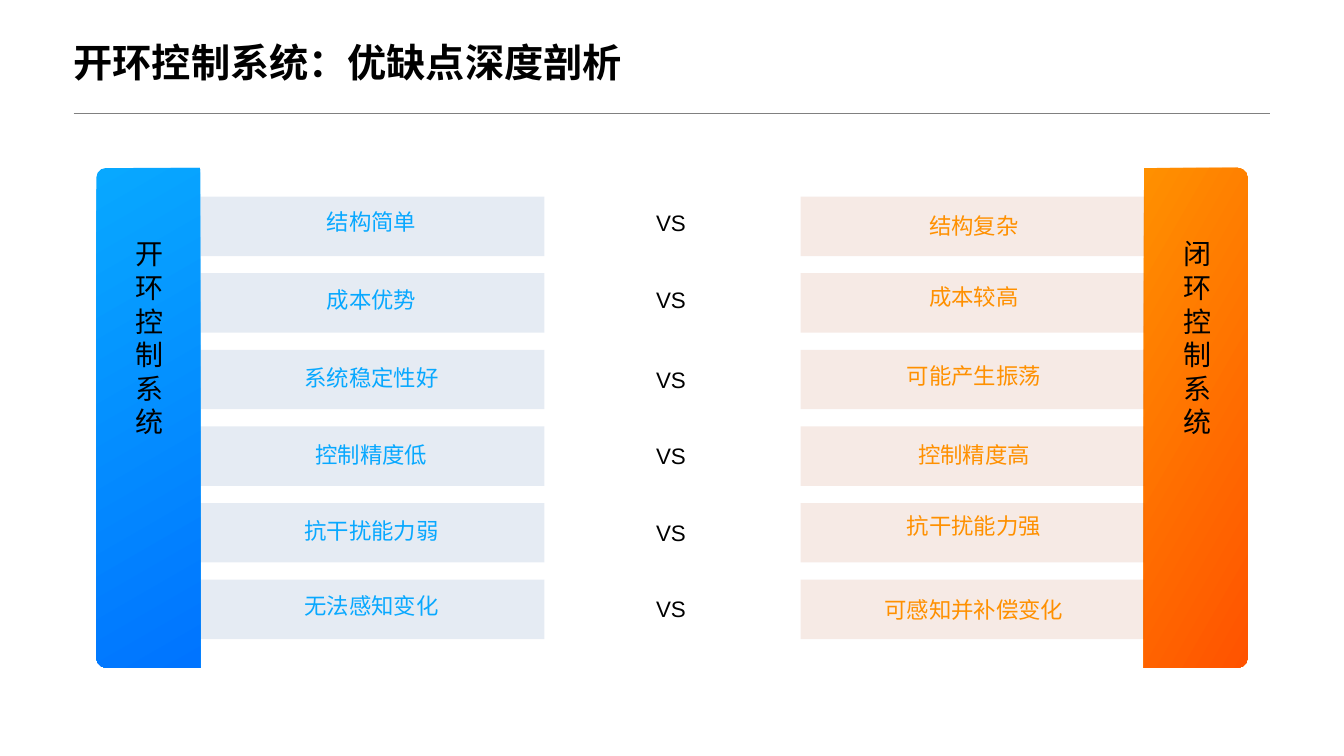
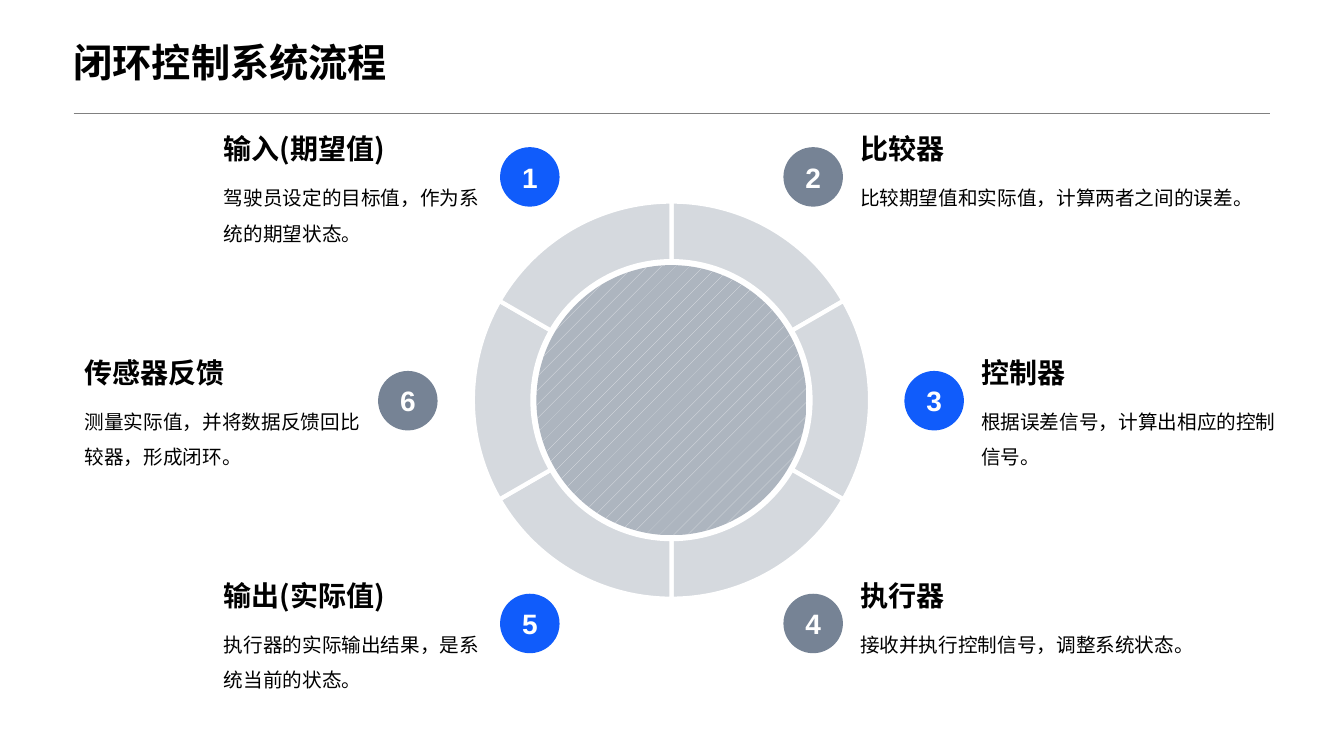
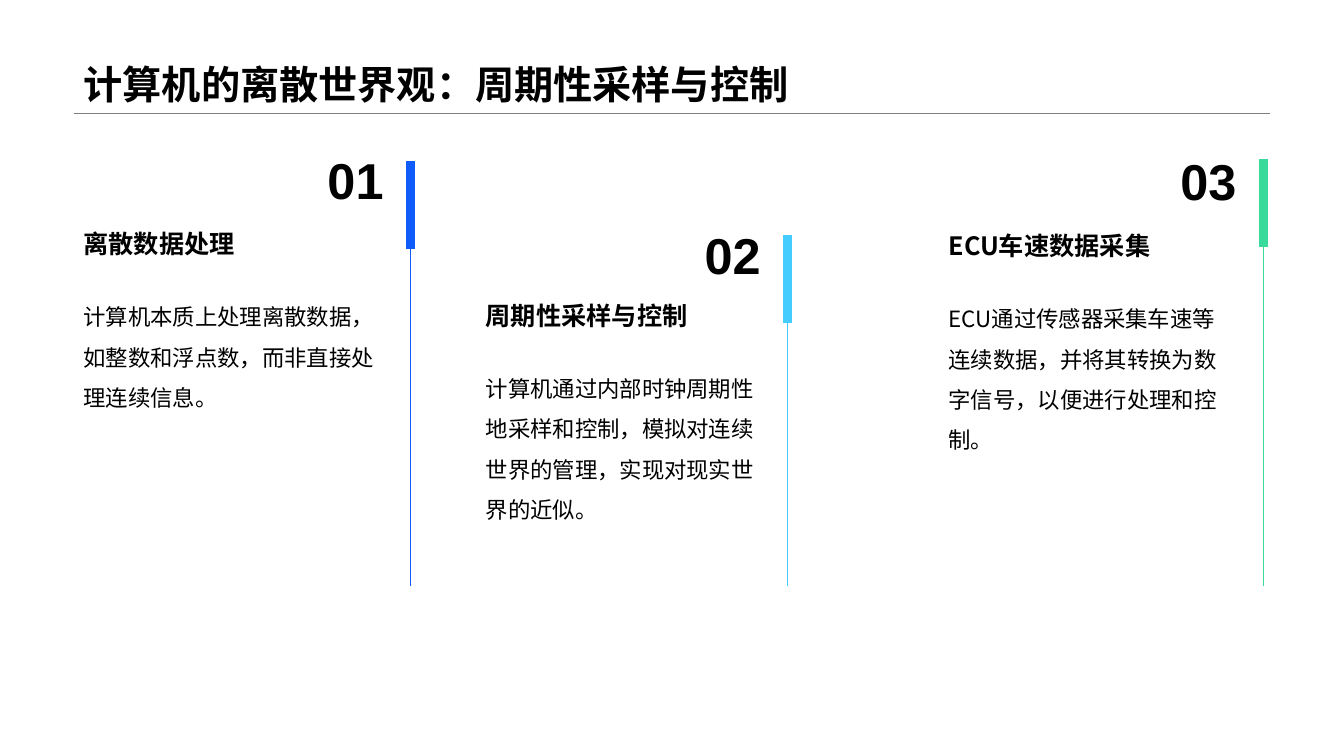
"""Build three slides on open-loop, closed-loop and sampled control."""
from dataclasses import dataclass, replace
from typing import Optional

from lxml.etree import SubElement
from pptx import Presentation
from pptx.dml.color import RGBColor
from pptx.enum.dml import MSO_PATTERN as Pattern
from pptx.enum.shapes import MSO_CONNECTOR as Link, MSO_SHAPE as Kind
from pptx.enum.text import MSO_ANCHOR as Anchor, MSO_AUTO_SIZE as Fit, PP_ALIGN as Align
from pptx.oxml.ns import qn
from pptx.util import Emu, Pt

SCALE = 9144
LATIN = "Arial"
HAN = "Noto Sans CJK SC"
BLACK = RGBColor(0x00, 0x00, 0x00)
WHITE = RGBColor(0xFF, 0xFF, 0xFF)
GREY = RGBColor(0x80, 0x80, 0x80)
SLATE = RGBColor(0x76, 0x83, 0x95)
STEEL = RGBColor(0xAD, 0xB5, 0xBF)
MIST = RGBColor(0xE4, 0xE6, 0xEA)
BLUE = RGBColor(0x10, 0x5C, 0xFB)
CYAN = RGBColor(0x44, 0xCC, 0xFF)
GREEN = RGBColor(0x38, 0xDB, 0x99)
SKY = RGBColor(0x08, 0xA8, 0xFF)
AZURE = RGBColor(0x00, 0x74, 0xFF)
NAVY = RGBColor(0x00, 0x42, 0x92)
AMBER = RGBColor(0xFF, 0x90, 0x00)
FLAME = RGBColor(0xFF, 0x53, 0x00)
RUST = RGBColor(0xA8, 0x38, 0x00)


@dataclass(frozen=True)
class Box:
    x: int
    y: int
    w: int
    h: int


@dataclass(frozen=True)
class Style:
    size: int
    font: str = HAN
    bold: bool = False
    tint: RGBColor = BLACK
    align: Align = Align.LEFT
    anchor: Anchor = Anchor.TOP
    space: float = 1.0
    pad: Optional[int] = None
    wrap: bool = True


@dataclass(frozen=True)
class Side:
    name: str
    bar: Box
    turn: int
    flip: bool
    start: RGBColor
    end: RGBColor
    angle: int
    name_x: int
    band_x: int
    band: RGBColor
    label_x: int
    label_w: int
    labels: tuple[tuple[str, int], ...]


@dataclass(frozen=True)
class Step:
    head: str
    body: str
    dot_x: int
    dot_y: int
    text_x: int
    text_w: int


@dataclass(frozen=True)
class Column:
    head: str
    body: str
    left: int
    stem: int
    top: int
    mark_y: int
    head_y: int
    tint: RGBColor
    weight: float


TITLE = Style(28, LATIN, True, anchor=Anchor.MIDDLE, space=1.25, pad=0)
LOW_TITLE = replace(TITLE, anchor=Anchor.BOTTOM, space=0.9, pad=None)
VERSUS = Style(16, LATIN, align=Align.CENTER)
NAME = replace(VERSUS, size=20)
LABEL = Style(16, align=Align.CENTER, anchor=Anchor.MIDDLE)
DIGIT = Style(20, LATIN, True, WHITE, Align.CENTER, Anchor.MIDDLE, pad=0)
STEP_HEAD = Style(20, bold=True, anchor=Anchor.BOTTOM, pad=12)
STEP_BODY = Style(14, space=1.5, pad=12)
MARK = Style(36, LATIN, True, anchor=Anchor.BOTTOM, wrap=False)
HEAD = Style(18, bold=True)
BODY = Style(16, space=1.5)

ROW_TOP, ROW_STEP = 195, 76
VERSUS_TOPS = (203, 279, 358, 434, 510, 586)
SIDES = (
    Side("开环控制系统", Box(-101, 363, 496, 103), 270, False, SKY, AZURE, 150,
         125, 199, NAVY, 228, 281,
         (("结构简单", 201), ("成本优势", 279), ("系统稳定性好", 356),
          ("控制精度低", 432), ("抗干扰能力弱", 508), ("无法感知变化", 582))),
    Side("闭环控制系统", Box(938, 363, 496, 103), 90, True, AMBER, FLAME, 240,
         1164, 794, RUST, 815, 302,
         (("结构复杂", 205), ("成本较高", 276), ("可能产生振荡", 354),
          ("控制精度高", 432), ("抗干扰能力强", 503), ("可感知并补偿变化", 586))),
)
STEPS = (
    Step("输入(期望值)", "驾驶员设定的目标值，作为系统的期望状态。", 496, 146, 210, 281),
    Step("比较器", "比较期望值和实际值，计算两者之间的误差。", 777, 146, 841, 418),
    Step("控制器", "根据误差信号，计算出相应的控制信号。", 897, 368, 961, 322),
    Step("执行器", "接收并执行控制信号，调整系统状态。", 777, 589, 841, 418),
    Step("输出(实际值)", "执行器的实际输出结果，是系统当前的状态。", 496, 589, 210, 281),
    Step("传感器反馈", "测量实际值，并将数据反馈回比较器，形成闭环。", 375, 368, 72, 298),
)
COLUMNS = (
    Column("离散数据处理",
           "计算机本质上处理离散数据，如整数和浮点数，而非直接处理连续信息。",
           73, 407, 160, 142, 222, BLUE, 0.5),
    Column("周期性采样与控制",
           "计算机通过内部时钟周期性地采样和控制，模拟对连续世界的管理，实现对现实世界的近似。",
           472, 781, 233, 216, 293, CYAN, 0.75),
    Column("ECU车速数据采集",
           "ECU通过传感器采集车速等连续数据，并将其转换为数字信号，以便进行处理和控制。",
           931, 1253, 158, 143, 224, GREEN, 0.75),
)


def px(count: int) -> Emu:
    """Turn px into EMU."""
    return Emu(count * SCALE)


def frame(box: Box) -> tuple[Emu, Emu, Emu, Emu]:
    """Give the four lengths of a box in EMU."""
    return px(box.x), px(box.y), px(box.w), px(box.h)


def write(shape, text: str, style: Style) -> None:
    """Set the text of a shape in the given style."""
    area = shape.text_frame
    area.text = text
    area.word_wrap = style.wrap
    area.auto_size = Fit.NONE
    area.vertical_anchor = style.anchor
    if style.pad is not None:
        area.margin_left = area.margin_right = px(style.pad)
        area.margin_top = area.margin_bottom = px(style.pad)
    line = area.paragraphs[0]
    line.alignment = style.align
    line.line_spacing = style.space
    for run in line.runs:
        font = run.font
        font.name, font.size, font.bold = style.font, Pt(style.size), style.bold
        font.color.rgb = style.tint
        SubElement(run._r.get_or_add_rPr(), qn("a:ea"), typeface=HAN)


def add_text(slide, box: Box, text: str, style: Style) -> None:
    """Add a text box."""
    write(slide.shapes.add_textbox(*frame(box)), text, style)


def add_form(slide, kind: Kind, box: Box, tint: Optional[RGBColor] = None,
             alpha: int = 100):
    """Add a preset shape without line or shadow."""
    shape = slide.shapes.add_shape(kind, *frame(box))
    shape.shadow.inherit = False
    shape.line.fill.background()
    if tint is not None:
        shape.fill.solid()
        shape.fill.fore_color.rgb = tint
        if alpha < 100:
            color = shape.element.spPr.find(qn("a:solidFill"))[0]
            SubElement(color, qn("a:alpha"), val=str(alpha * 1000))
    return shape


def add_disc(slide, box: Box, tint: Optional[RGBColor] = None):
    """Add a fully rounded square."""
    disc = add_form(slide, Kind.ROUNDED_RECTANGLE, box, tint)
    disc.adjustments[0] = 0.5
    return disc


def add_line(slide, start: tuple[int, int], end: tuple[int, int],
             tint: RGBColor, weight: float):
    """Add a straight line."""
    line = slide.shapes.add_connector(
        Link.STRAIGHT, *(px(value) for value in start + end))
    line.line.color.rgb = tint
    line.line.width = Pt(weight)
    SubElement(line.element.spPr, qn("a:effectLst"))
    return line


def add_slide(deck, title: str, style: Style = TITLE):
    """Add a slide with its title."""
    slide = deck.slides.add_slide(deck.slide_layouts[5])
    write(slide.shapes.title, title, style)
    return slide


def set_layout(deck, slide) -> None:
    """Place the title and the rule on the shared layout."""
    layout = deck.slide_layouts[5]
    title = layout.placeholders[0]
    title.left, title.top, title.width, title.height = frame(Box(73, 0, 1187, 112))
    rule = add_line(slide, (73, 112), (1260, 112), GREY, 0.25)
    layout.shapes.element.append(rule.element)


def draw_side(slide, side: Side) -> None:
    """Draw one system with its bar, bands and labels."""
    bar = add_form(slide, Kind.ROUND_2_SAME_RECTANGLE, side.bar)
    bar.adjustments[0], bar.adjustments[1] = 0.096, 0
    bar.rotation = side.turn
    if side.flip:
        bar.element.spPr.get_or_add_xfrm().set("flipH", "1")
    bar.fill.gradient()
    bar.fill.gradient_angle = 360 - side.angle
    for stop, tint in zip(bar.fill.gradient_stops, (side.start, side.end)):
        stop.color.rgb = tint
    add_text(slide, Box(side.name_x, 230, 44, 404), side.name, NAME)
    for row, (label, top) in enumerate(side.labels):
        band = Box(side.band_x, ROW_TOP + row * ROW_STEP, 341, 59)
        add_form(slide, Kind.RECTANGLE, band, side.band, 10)
        add_text(slide, Box(side.label_x, top, side.label_w, 37), label,
                 replace(LABEL, tint=side.start))


def draw_versus(slide) -> None:
    """Draw both systems and the marks between them."""
    for side in SIDES:
        draw_side(slide, side)
    for top in VERSUS_TOPS:
        add_text(slide, Box(548, top, 235, 37), "VS", VERSUS)


def draw_ring(slide) -> None:
    """Draw the ring of equal arcs and its core."""
    sweep = 360 // len(STEPS)
    for index in range(len(STEPS)):
        arc = add_form(slide, Kind.BLOCK_ARC, Box(469, 200, 394, 394), SLATE, 30)
        start = 270 + index * sweep
        arc.adjustments[0] = start % 360 * 0.6
        arc.adjustments[1] = (start + sweep) % 360 * 0.6
        arc.adjustments[2] = 0.15
        arc.line.color.rgb = WHITE
        arc.line.width = Pt(3)
    core = add_disc(slide, Box(532, 263, 268, 268))
    core.fill.patterned()
    core.fill.pattern = Pattern.PERCENT_5
    core.fill.fore_color.rgb = MIST
    core.fill.back_color.rgb = STEEL


def draw_steps(slide) -> None:
    """Draw the numbered steps around the ring."""
    draw_ring(slide)
    for count, step in enumerate(STEPS, 1):
        dot = add_disc(slide, Box(step.dot_x, step.dot_y, 59, 59),
                       BLUE if count % 2 else SLATE)
        write(dot, str(count), DIGIT)
        add_text(slide, Box(step.text_x, step.dot_y - 28, step.text_w, 58),
                 step.head, STEP_HEAD)
        add_text(slide, Box(step.text_x, step.dot_y + 15, step.text_w, 89),
                 step.body, STEP_BODY)


def draw_columns(slide) -> None:
    """Draw the numbered columns with their stems."""
    for count, col in enumerate(COLUMNS, 1):
        width = col.stem - 16 - col.left
        add_line(slide, (col.stem, 581), (col.stem, col.top), col.tint, col.weight)
        add_line(slide, (col.stem, col.top + 87), (col.stem, col.top), col.tint, 6.75)
        add_text(slide, Box(col.stem - 92, col.mark_y, 76, 71), f"{count:02}", MARK)
        add_text(slide, Box(col.left, col.head_y, width, 40), col.head, HEAD)
        add_text(slide, Box(col.left, col.head_y + 61, width, 167), col.body, BODY)


def main() -> None:
    """Build and save the deck."""
    deck = Presentation()
    deck.slide_width, deck.slide_height = px(1333), px(750)
    first = add_slide(deck, "开环控制系统：优缺点深度剖析")
    set_layout(deck, first)
    draw_versus(first)
    draw_steps(add_slide(deck, "闭环控制系统流程"))
    draw_columns(add_slide(deck, "计算机的离散世界观：周期性采样与控制", LOW_TITLE))
    deck.save("out.pptx")


if __name__ == "__main__":
    main()
